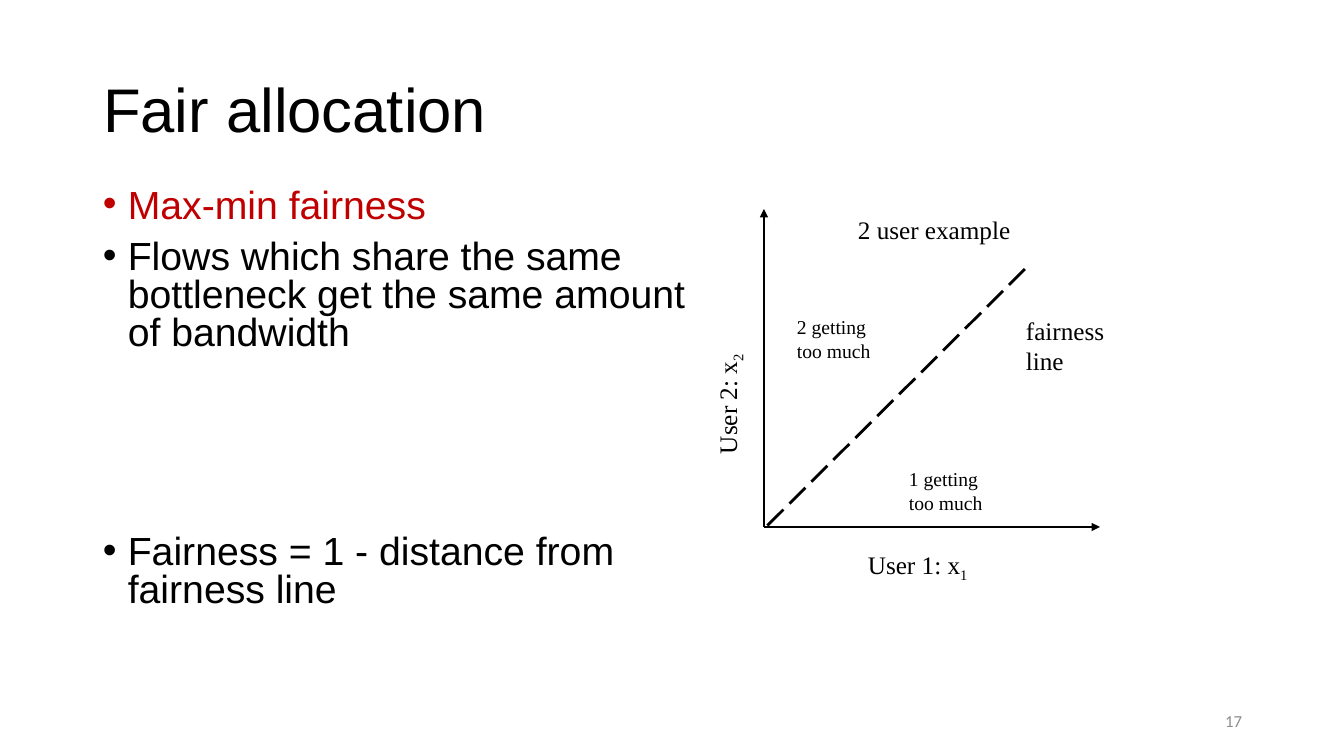
from lxml import etree
from pptx import Presentation
from pptx.dml.color import RGBColor
from pptx.enum.dml import MSO_LINE
from pptx.enum.shapes import MSO_CONNECTOR
from pptx.enum.text import MSO_ANCHOR, MSO_AUTO_SIZE, PP_ALIGN
from pptx.oxml.ns import qn
from pptx.util import Pt

EMU_PER_INCH = 914400
PX_PER_INCH = 100.8
STRAIGHT = MSO_CONNECTOR.STRAIGHT
LONG_DASH = MSO_LINE.LONG_DASH
MIDDLE = MSO_ANCHOR.MIDDLE
NO_FIT = MSO_AUTO_SIZE.NONE
LEFT, RIGHT = PP_ALIGN.LEFT, PP_ALIGN.RIGHT

COLORS = {"text": "000000", "accent": "C00000", "number": "8C8C8C"}
HEADING_FONT, GRAPH_FONT, NUMBER_FONT = "Arial", "Times New Roman", "Calibri"


def px(length):
    return round(length * EMU_PER_INCH / PX_PER_INCH)


def format_paragraph(paragraph, font_name, size, color="text", align=LEFT):
    paragraph.alignment = align
    paragraph.font.name = font_name
    paragraph.font.size = Pt(size)
    paragraph.font.color.rgb = RGBColor.from_string(COLORS[color])


def add_text_frame(slide, box, wrap=True):
    shape = slide.shapes.add_textbox(*map(px, box))
    shape.text_frame.word_wrap = wrap
    return shape, shape.text_frame


def add_title(slide, box, text):
    title = slide.shapes.title
    title.left, title.top, title.width, title.height = map(px, box)
    frame = title.text_frame
    frame.text = text
    frame.auto_size = NO_FIT
    frame.vertical_anchor = MIDDLE
    frame.paragraphs[0].line_spacing = 0.9
    format_paragraph(frame.paragraphs[0], HEADING_FONT, 44)


def add_bullets(slide, box, bullets):
    """Each bullet is its text, colour name and space before in points."""
    _, frame = add_text_frame(slide, box)
    for index, (text, color, space_before) in enumerate(bullets):
        paragraph = frame.add_paragraph() if index else frame.paragraphs[0]
        paragraph.text = text
        paragraph.line_spacing = 0.8
        paragraph.space_before = Pt(space_before)
        properties = paragraph._p.get_or_add_pPr()
        properties.set("marL", str(px(25)))
        properties.set("indent", str(px(-25)))
        etree.SubElement(properties, qn("a:buFont")).set("typeface", "Arial")
        etree.SubElement(properties, qn("a:buChar")).set("char", "•")
        format_paragraph(paragraph, HEADING_FONT, 28, color)


def add_graph_line(slide, start, end, dashed=False):
    """Draw a dashed line, or a solid axis with an arrowhead at its end."""
    connector = slide.shapes.add_connector(STRAIGHT, *map(px, start + end))
    connector.line.width = Pt(2)
    connector.line.color.rgb = RGBColor.from_string(COLORS["text"])
    if dashed:
        connector.line.dash_style = LONG_DASH
    else:
        line = connector.line._get_or_add_ln()
        etree.SubElement(line, qn("a:tailEnd")).set("type", "triangle")
    etree.SubElement(connector._element.spPr, qn("a:effectLst"))


def add_graph_label(slide, box, lines, size, subscript="", rotation=0):
    shape, frame = add_text_frame(slide, box, wrap=False)
    shape.rotation = rotation
    for index, text in enumerate(lines):
        paragraph = frame.add_paragraph() if index else frame.paragraphs[0]
        paragraph.add_run().text = text
        format_paragraph(paragraph, GRAPH_FONT, size)
    if subscript:
        run = frame.paragraphs[-1].add_run()
        run.text = subscript
        run._r.get_or_add_rPr().set("baseline", "-25000")


def add_fairness_graph(slide, box):
    """The box spans the two axes; labels may lie outside it."""
    left, top, width, height = box
    origin = (left, top + height)
    add_graph_line(slide, origin, (left, top))
    add_graph_line(slide, origin, (left + width, top + height))
    add_graph_line(slide, (left + 261, top + 60), (left, top + height + 2), dashed=True)

    labels = [
        ((94, 335, 122, 40), ["User 1: x"], 18, "1", 0),
        ((-98, 174, 122, 40), ["User 2: x"], 18, "2", 270),
        ((84, 0, 174, 40), ["2 user example"], 18, "", 0),
        ((23, 101, 95, 57), ["2 getting", "too much"], 14, "", 0),
        ((135, 253, 95, 57), ["1 getting", "too much"], 14, "", 0),
        ((252, 101, 100, 71), ["fairness", "line"], 18, "", 0),
    ]
    for (x, y, label_width, label_height), *content in labels:
        add_graph_label(slide, (left + x, top + y, label_width, label_height), *content)


def add_slide_number(slide, box, number):
    _, frame = add_text_frame(slide, box)
    frame.text = number
    frame.vertical_anchor = MIDDLE
    format_paragraph(frame.paragraphs[0], NUMBER_FONT, 12, "number", RIGHT)


def main():
    presentation = Presentation()
    presentation.slide_width, presentation.slide_height = px(1344), px(756)
    title_only = presentation.slide_layouts.get_by_name("Title Only")
    slide = presentation.slides.add_slide(title_only)

    add_title(slide, (93, 40, 1159, 146), "Fair allocation")
    add_bullets(slide, (93, 184, 614, 516), [
        ("Max-min fairness", "accent", 0),
        ("Flows which share the same bottleneck get the same amount of bandwidth", "text", 10),
        ("Fairness = 1 - distance from fairness line", "text", 130),
    ])
    add_fairness_graph(slide, (764, 209, 336, 318))
    add_slide_number(slide, (950, 701, 302, 40), "17")
    presentation.save("out.pptx")


if __name__ == "__main__":
    main()
